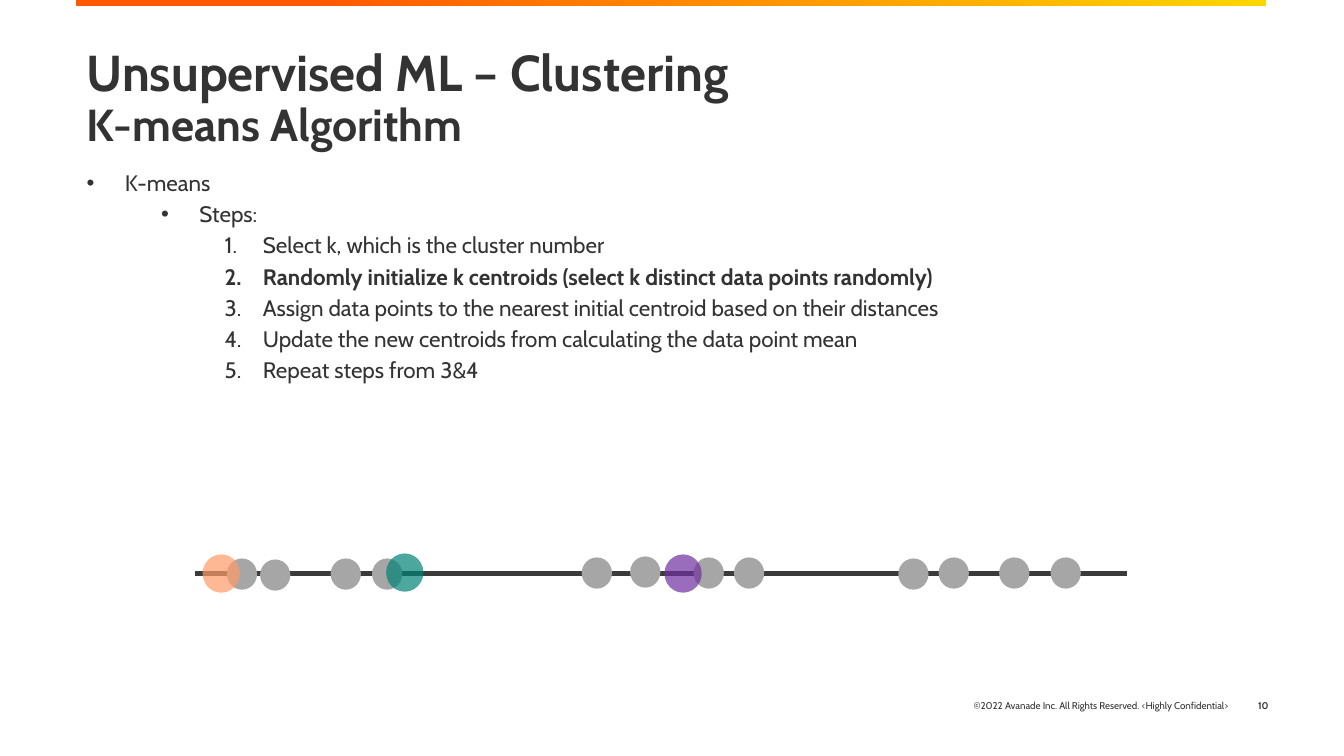
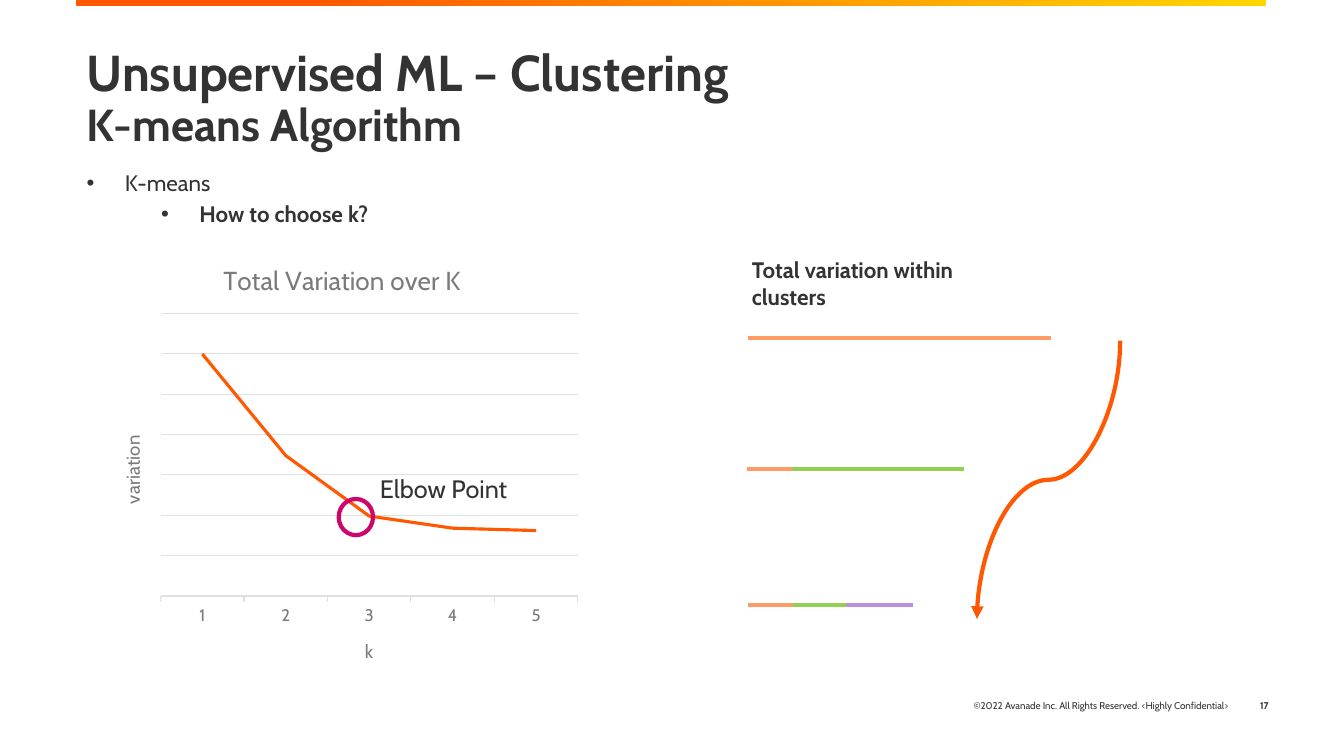
from dataclasses import dataclass
from itertools import accumulate

from lxml.etree import SubElement
from pptx import Presentation
from pptx.chart.data import CategoryChartData
from pptx.dml.color import RGBColor
from pptx.enum.chart import XL_CHART_TYPE, XL_TICK_MARK
from pptx.enum.shapes import MSO_CONNECTOR, MSO_SHAPE
from pptx.enum.text import MSO_ANCHOR, MSO_AUTO_SIZE, PP_ALIGN
from pptx.oxml.ns import qn
from pptx.util import Inches, Pt


@dataclass(frozen=True)
class Theme:
    font: str = "Cabin"
    text: str = "333333"
    muted: str = "7A7A7A"
    grid: str = "E0E0E0"
    orange: str = "FF5800"
    yellow: str = "FFD700"
    peach: str = "FF9B66"
    green: str = "92D050"
    lilac: str = "BC8FDD"
    teal: str = "008376"
    purple: str = "7030A0"
    magenta: str = "CE056A"
    axis: str = "3B3B3B"
    point: str = "A6A6A6"
    title_size: float = 36
    subtitle_size: float = 32
    body_size: float = 16
    label_size: float = 18
    chart_title_size: float = 18.6
    axis_title_size: float = 13.3
    tick_size: float = 12
    footer_size: float = 7
    thick: float = 3


THEME = Theme()
TITLE = "Unsupervised ML – Clustering"
SUBTITLE = "K-means Algorithm"
COPYRIGHT = "©2022 Avanade Inc. All Rights Reserved. <Highly Confidential>"
LEVELS = [(0.38, 0, "•"), (1.12, 5, "•"), (1.75, 5, None)]

STEPS = [
    (0, "K-means", False),
    (1, "Steps:", False),
    (2, "Select k, which is the cluster number", False),
    (2, "Randomly initialize k centroids (select k distinct data points randomly)", True),
    (2, "Assign data points to the nearest initial centroid based on their distances", False),
    (2, "Update the new centroids from calculating the data point mean", False),
    (2, "Repeat steps from 3&4", False),
]
CHOICE = [(0, "K-means", False), (1, "How to choose k?", True)]

DATA_POINTS = [
    (2.58, 5.55), (3.28, 5.54), (6.25, 5.52), (3.69, 5.54),
    (2.25, 5.54), (5.77, 5.53), (6.88, 5.53), (7.28, 5.53),
    (8.91, 5.54), (9.31, 5.53), (9.91, 5.53), (10.42, 5.53),
]
CENTROIDS = [
    (2.01, 5.5, THEME.peach),
    (3.83, 5.49, THEME.teal),
    (6.59, 5.5, THEME.purple),
]
VARIATION_BARS = [
    (7.42, 3.35, [3]),
    (7.41, 4.65, [0.45, 1.7]),
    (7.42, 6, [0.45, 0.52, 0.67]),
]
CLUSTER_COLORS = [THEME.peach, THEME.green, THEME.lilac]


def rgb(color):
    return RGBColor.from_string(color)


def box(*lengths):
    return [Inches(length) for length in lengths]


def style_font(font, size, color=THEME.text, bold=False):
    font.name = THEME.font
    font.size = Pt(size)
    font.bold = bold
    font.color.rgb = rgb(color)


def add_label(slide, place, text, size, bold=False, align=PP_ALIGN.LEFT,
              anchor=MSO_ANCHOR.TOP):
    frame = slide.shapes.add_textbox(*box(*place)).text_frame
    frame.word_wrap = True
    frame.vertical_anchor = anchor
    paragraph = frame.paragraphs[0]
    paragraph.text = text
    paragraph.alignment = align
    style_font(paragraph.font, size, bold=bold)


def add_ellipse(slide, place, fill=None, line=None, opacity=100):
    ellipse = slide.shapes.add_shape(MSO_SHAPE.OVAL, *box(*place))
    ellipse.shadow.inherit = False
    if fill:
        ellipse.fill.solid()
        ellipse.fill.fore_color.rgb = rgb(fill)
        if opacity < 100:
            color = ellipse.fill._xPr.find(".//" + qn("a:srgbClr"))
            SubElement(color, qn("a:alpha"), val=str(opacity * 1000))
    else:
        ellipse.fill.background()
    if line:
        ellipse.line.color.rgb = rgb(line)
        ellipse.line.width = Pt(THEME.thick)
    else:
        ellipse.line.fill.background()


def add_line(slide, ends, color, kind=MSO_CONNECTOR.STRAIGHT):
    line = slide.shapes.add_connector(kind, *box(*ends))
    line.line.color.rgb = rgb(color)
    line.line.width = Pt(THEME.thick)
    SubElement(line._element.spPr, qn("a:effectLst"))
    return line


def add_descending_arrow(slide):
    arrow = add_line(slide, (9.02, 4.05, 11.78, 5.47), THEME.orange, MSO_CONNECTOR.CURVE)
    arrow._element.spPr.find(qn("a:xfrm")).set("rot", str(90 * 60000))
    SubElement(arrow.line._get_or_add_ln(), qn("a:tailEnd"), type="triangle")


def add_band(slide):
    band = slide.shapes.add_shape(MSO_SHAPE.RECTANGLE, *box(0.76, 0, 11.8, 0.05))
    band.shadow.inherit = False
    band.line.fill.background()
    band.fill.gradient()
    band.fill.gradient_angle = 250
    stops = [(0, THEME.yellow), (0.8, THEME.orange)]
    for stop, (position, color) in zip(band.fill.gradient_stops, stops):
        stop.position = position
        stop.color.rgb = rgb(color)


def format_title(title):
    title.left, title.top, title.width, title.height = box(0.76, 0.43, 11.79, 1.09)
    frame = title.text_frame
    frame.auto_size = MSO_AUTO_SIZE.NONE
    frame.vertical_anchor = MSO_ANCHOR.TOP
    paragraph = frame.paragraphs[0]
    paragraph.alignment = PP_ALIGN.LEFT
    paragraph.line_spacing = 0.9
    style_font(paragraph.font, THEME.title_size, bold=True)
    paragraph.add_run().text = TITLE
    paragraph.add_line_break()
    subtitle = paragraph.add_run()
    subtitle.text = SUBTITLE
    subtitle.font.size = Pt(THEME.subtitle_size)


def add_outline(slide, items):
    frame = slide.shapes.add_textbox(*box(0.76, 1.66, 11.79, 4.76)).text_frame
    frame.word_wrap = True
    for index, (level, text, bold) in enumerate(items):
        paragraph = frame.add_paragraph() if index else frame.paragraphs[0]
        indent, space, bullet = LEVELS[level]
        paragraph.text = text
        paragraph.level = level
        paragraph.line_spacing = 0.9
        paragraph.space_before = Pt(space)
        properties = paragraph._p.get_or_add_pPr()
        properties.set("marL", str(Inches(indent)))
        properties.set("indent", str(Inches(-0.38)))
        if bullet:
            SubElement(properties, qn("a:buFont"), typeface="Arial")
            SubElement(properties, qn("a:buChar"), char=bullet)
        else:
            SubElement(properties, qn("a:buAutoNum"), type="arabicPeriod")
        style_font(paragraph.font, THEME.body_size, bold=bold)


def add_content_slide(presentation, number, items):
    slide = presentation.slides.add_slide(presentation.slide_layouts[5])
    format_title(slide.shapes.title)
    add_band(slide)
    footers = [((7.78, 6.8, 4.5, 0.4), COPYRIGHT, False),
               ((12.2, 6.8, 0.48, 0.4), str(number), True)]
    for place, text, bold in footers:
        add_label(slide, place, text, THEME.footer_size, bold,
                  PP_ALIGN.RIGHT, MSO_ANCHOR.MIDDLE)
    add_outline(slide, items)
    return slide


def set_chart_text(titled, text, size):
    frame = (titled.chart_title if hasattr(titled, "chart_title") else titled.axis_title).text_frame
    frame.text = text
    style_font(frame.paragraphs[0].font, size, THEME.muted)


def set_plot_area(chart, **fractions):
    area = chart._chartSpace.chart.plotArea
    layout = area.find(qn("c:layout"))
    if layout is None:
        layout = SubElement(area, qn("c:layout"))
        area.insert(0, layout)
    manual = SubElement(layout, qn("c:manualLayout"))
    settings = {"layoutTarget": "inner", "xMode": "edge", "yMode": "edge", **fractions}
    for tag, value in settings.items():
        SubElement(manual, qn("c:" + tag), val=str(value))


def add_variation_chart(slide):
    data = CategoryChartData()
    data.categories = ["1", "2", "3", "4", "5"]
    data.add_series("Series 1", [100, 58, 33, 28, 27])
    chart = slide.shapes.add_chart(
        XL_CHART_TYPE.LINE, *box(0.96, 2.41, 4.87, 4.38), data).chart
    style_font(chart.font, 10)
    chart.has_legend = False
    set_chart_text(chart, "Total Variation over K", THEME.chart_title_size)
    set_plot_area(chart, x=0.13, y=0.16, w=0.85, h=0.64)
    chart.plots[0].vary_by_categories = False

    variation = chart.plots[0].series[0]
    variation.smooth = False
    variation.format.line.color.rgb = rgb(THEME.orange)
    variation.format.line.width = Pt(2.25)

    clusters = chart.category_axis
    set_chart_text(clusters, "k", THEME.axis_title_size)
    clusters.major_tick_mark = XL_TICK_MARK.OUTSIDE
    style_font(clusters.tick_labels.font, THEME.tick_size, THEME.muted)

    amounts = chart.value_axis
    set_chart_text(amounts, "variation", THEME.axis_title_size)
    amounts.visible = False
    amounts.minimum_scale = 0
    amounts.major_unit = 16.67
    amounts.maximum_scale = 116.69
    for line in (clusters.format.line, amounts.major_gridlines.format.line):
        line.color.rgb = rgb(THEME.grid)
        line.width = Pt(0.75)


def add_variation_bar(slide, left, top, lengths):
    edges = list(accumulate(lengths, initial=left))
    for start, end, color in zip(edges, edges[1:], CLUSTER_COLORS):
        add_line(slide, (start, top, end, top), color)


def build_centroids_slide(presentation):
    slide = add_content_slide(presentation, 10, STEPS)
    add_line(slide, (1.93, 5.69, 11.18, 5.69), THEME.axis)
    for left, top in DATA_POINTS:
        add_ellipse(slide, (left, top, 0.3, 0.31), THEME.point)
    for left, top, color in CENTROIDS:
        add_ellipse(slide, (left, top, 0.37, 0.38), color, opacity=70)


def build_elbow_slide(presentation):
    slide = add_content_slide(presentation, 17, CHOICE)
    add_label(slide, (7.36, 2.49, 2.87, 0.37), "Total variation within clusters",
              THEME.body_size, True)
    for left, top, lengths in VARIATION_BARS:
        add_variation_bar(slide, left, top, lengths)
    add_descending_arrow(slide)
    add_variation_chart(slide)
    add_ellipse(slide, (3.36, 4.95, 0.34, 0.36), line=THEME.magenta)
    add_label(slide, (3.67, 4.65, 1.51, 0.4), "Elbow Point", THEME.label_size)


def main():
    presentation = Presentation()
    presentation.slide_width, presentation.slide_height = box(13.33, 7.5)
    build_centroids_slide(presentation)
    build_elbow_slide(presentation)
    presentation.save("out.pptx")


if __name__ == "__main__":
    main()
